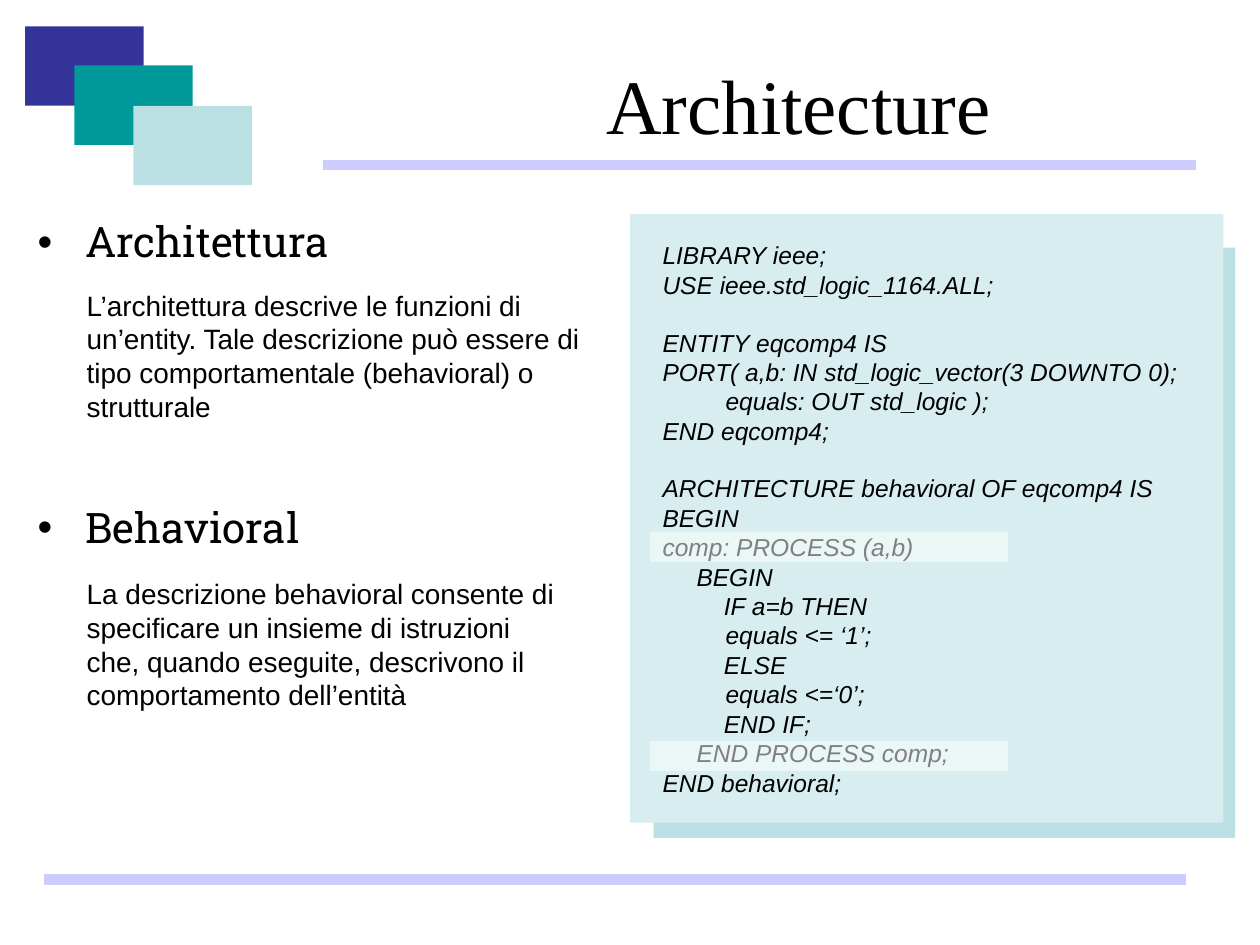
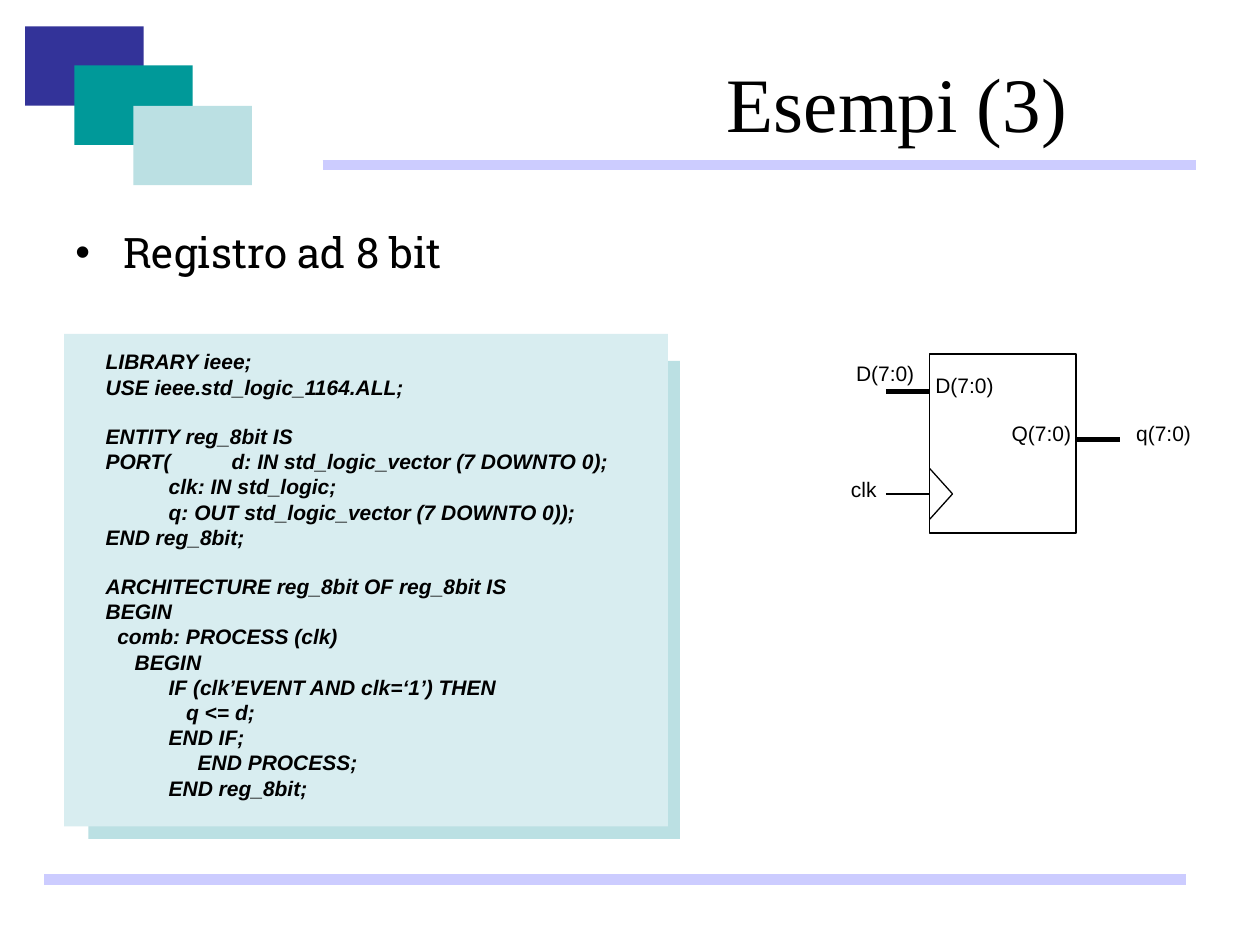
from dataclasses import dataclass

from lxml.etree import SubElement
from pptx import Presentation
from pptx.dml.color import RGBColor
from pptx.enum.shapes import MSO_CONNECTOR, MSO_SHAPE
from pptx.enum.text import MSO_ANCHOR, PP_ALIGN
from pptx.oxml.ns import qn
from pptx.util import Inches, Pt

# Grid that every position is given in
COLS, ROWS = 100, 75


@dataclass(frozen=True)
class Theme:
    ink: str = "000000"
    white: str = "FFFFFF"
    navy: str = "333399"
    teal: str = "009999"
    aqua: str = "BBE0E3"
    pale: str = "D8EDF0"
    rule: str = "CCCCFF"
    title_font: str = "Times New Roman"
    head_font: str = "Roboto Slab"
    text_font: str = "Arial"
    title: int = 44
    head: int = 24
    note: int = 16
    code: int = 14
    small: int = 12
    band: int = 6
    wire: float = 0.75
    bus: int = 3


ENTITY_CODE = [
    """LIBRARY ieee;
USE ieee.std_logic_1164.ALL;""",
    """ENTITY eqcomp4 IS
PORT( a,b: IN std_logic_vector(3 DOWNTO 0);
\tequals: OUT std_logic );
END eqcomp4;""",
    """ARCHITECTURE behavioral OF eqcomp4 IS
BEGIN
comp: PROCESS (a,b)
     BEGIN
         IF a=b THEN
\tequals <= ‘1’;
         ELSE
\tequals <=‘0’;
         END IF;
     END PROCESS comp;
END behavioral;""",
]

REGISTER_CODE = [
    """LIBRARY ieee;
USE ieee.std_logic_1164.ALL;""",
    """ENTITY reg_8bit IS
PORT( \td: IN std_logic_vector (7 DOWNTO 0);
\tclk: IN std_logic;
\tq: OUT std_logic_vector (7 DOWNTO 0));
END reg_8bit;""",
    """ARCHITECTURE reg_8bit OF reg_8bit IS
BEGIN
  comb: PROCESS (clk)
     BEGIN
IF (clk’EVENT AND clk=‘1’) THEN
   q <= d;
END IF;
     END PROCESS;
END reg_8bit;""",
]


def write(p, text, *, size, font, color, bold=False, italic=False,
          align=PP_ALIGN.LEFT, before=0, spacing=None):
    """Fill a paragraph with one formatted run."""
    p.alignment = align
    if before:
        p.space_before = Pt(before)
    if spacing:
        p.line_spacing = spacing
    r = p.add_run()
    r.text = text
    r.font.size, r.font.name = Pt(size), font
    r.font.bold, r.font.italic = bold, italic
    r.font.color.rgb = RGBColor.from_string(color)


class Deck:
    def __init__(self, theme):
        self.t = theme
        self.prs = Presentation()
        self.prs.slide_width, self.prs.slide_height = Inches(10), Inches(7.5)
        self.s = None

    def x(self, cols):
        return round(self.prs.slide_width * cols / COLS)

    def y(self, rows):
        return round(self.prs.slide_height * rows / ROWS)

    def place(self, col, row, w, h):
        return self.x(col), self.y(row), self.x(w), self.y(h)

    # Basic elements
    def rect(self, area, fill=None, line=None, alpha=None):
        sp = self.s.shapes.add_shape(MSO_SHAPE.RECTANGLE, *self.place(*area))
        sp.shadow.inherit = False
        if fill:
            sp.fill.solid()
            sp.fill.fore_color.rgb = RGBColor.from_string(fill)
            if alpha is not None:
                clr = sp.fill._xPr.find(qn("a:solidFill"))[0]
                SubElement(clr, qn("a:alpha"), val=str(alpha * 1000))
        else:
            sp.fill.background()
        if line:
            sp.line.color.rgb = RGBColor.from_string(line)
            sp.line.width = Pt(self.t.wire)
        else:
            sp.line.fill.background()

    def line(self, x1, y1, x2, y2, color, width):
        cx = self.s.shapes.add_connector(
            MSO_CONNECTOR.STRAIGHT, self.x(x1), self.y(y1), self.x(x2), self.y(y2))
        cx.line.color.rgb = RGBColor.from_string(color)
        cx.line.width = Pt(width)
        SubElement(cx._element.spPr, qn("a:effectLst"))

    def frame(self, area, anchor=MSO_ANCHOR.TOP):
        tf = self.s.shapes.add_textbox(*self.place(*area)).text_frame
        tf.word_wrap = True
        tf.vertical_anchor = anchor
        return tf

    def text(self, area, text, size, font=None, anchor=MSO_ANCHOR.TOP, **fmt):
        write(self.frame(area, anchor).paragraphs[0], text, size=size,
              font=font or self.t.text_font, color=self.t.ink, **fmt)

    # Composed elements
    def slide(self, title, title_area):
        t = self.t
        self.s = self.prs.slides.add_slide(self.prs.slide_layouts[6])
        for col, row, fill in ((2, 2.1, t.navy), (5.9, 5.2, t.teal), (10.6, 8.4, t.aqua)):
            self.rect((col, row, 9.4, 6.3), fill)
        self.line(25.6, 13.1, 94.9, 13.1, t.rule, t.band)
        self.line(3.5, 69.8, 94.1, 69.8, t.rule, t.band)
        self.text(title_area, title, t.title, t.title_font,
                  MSO_ANCHOR.MIDDLE, align=PP_ALIGN.CENTER)

    def bullets(self, area, items, gap=0, spacing=None):
        tf = self.frame(area)
        for i, item in enumerate(items):
            p = tf.add_paragraph() if i else tf.paragraphs[0]
            pPr = p._p.get_or_add_pPr()
            pPr.set("marL", str(Inches(0.38)))
            pPr.set("indent", str(-Inches(0.38)))
            clr = SubElement(pPr, qn("a:buClr"))
            SubElement(clr, qn("a:srgbClr"), val=self.t.ink)
            SubElement(pPr, qn("a:buFont"), typeface=self.t.text_font)
            SubElement(pPr, qn("a:buChar"), char="•")
            write(p, item, size=self.t.head, font=self.t.head_font,
                  color=self.t.ink, before=gap if i else 0, spacing=spacing)

    def panel(self, col, row, w, h):
        """Pale card over a darker one, shifted down and right."""
        self.rect((col + 0.04 * w, row + 0.055 * h, 0.98 * w, 0.97 * h), self.t.aqua)
        self.rect((col, row, w, h), self.t.pale)

    def code(self, area, blocks, size, bold=False, indent_last=0):
        """Blocks of code lines, one line height apart."""
        lines = [(text, i > 0 and j == 0)
                 for i, block in enumerate(blocks)
                 for j, text in enumerate(block.split("\n"))]
        tf = self.frame(area)
        for n, (text, opens_block) in enumerate(lines):
            p = tf.add_paragraph() if n else tf.paragraphs[0]
            if n >= len(lines) - indent_last:
                p._p.get_or_add_pPr().set("marL", str(Inches(0.5)))
            write(p, text, size=size, font=self.t.text_font, color=self.t.ink,
                  bold=bold, italic=True, before=1.15 * size if opens_block else 0)


def architecture_slide(d):
    t = d.t
    d.slide("Architecture", (31.9, 2.8, 63, 10.9))
    d.bullets((2, 17.1, 46, 49.5), ["Architettura", "Behavioral"], gap=137, spacing=0.9)
    d.text((5.9, 22.4, 41.7, 11.7),
           "L’architettura descrive le funzioni di un’entity. Tale descrizione può "
           "essere di tipo comportamentale (behavioral) o strutturale", t.note)
    d.text((5.9, 45.3, 40, 11.7),
           "La descrizione behavioral consente di specificare un insieme di istruzioni "
           "che, quando eseguite, descrivono il comportamento dell’entità", t.note)
    # Code with the process lines veiled
    d.panel(50, 17, 47.1, 48.3)
    d.code((51.6, 18.6, 44.9, 45.4), ENTITY_CODE, t.code)
    for row in (42.2, 58.8):
        d.rect((51.6, row, 28.4, 2.4), t.white, alpha=50)


def register_slide(d):
    t = d.t
    d.slide("Esempi (3)", (47.6, 3.8, 47.2, 8.5))
    d.bullets((5, 17.5, 90, 49.5), ["Registro ad 8 bit"])
    d.panel(5.1, 26.5, 47.9, 39.1)
    d.code((7.4, 27.2, 44.8, 37), REGISTER_CODE, t.small, bold=True, indent_last=5)
    # Register symbol
    left, right, clk_row = 73.8, 85.4, 39.2
    d.rect((left, 28.1, right - left, 14.2), line=t.ink)
    for text, col, row, w in (("D(7:0)", 72.3, 29.1, 8.5), ("Q(7:0)", 79.1, 32.9, 7.1),
                              ("D(7:0)", 66.8, 28.1, 6.9), ("q(7:0)", 88.6, 32.9, 7.5),
                              ("clk", 65, 37.3, 7.1)):
        d.text((col, row, w, 3), text, t.small, align=PP_ALIGN.CENTER)
    # Clock notch, then wires
    for dy in (2, -2):
        d.line(left, clk_row + dy, left + 1.8, clk_row, t.ink, t.wire)
    for col, row, width in ((left - 3.5, clk_row, t.wire), (left - 3.5, 31.1, t.bus),
                            (right, 34.9, t.bus)):
        d.line(col, row, col + 3.5, row, t.ink, width)


def main():
    d = Deck(Theme())
    architecture_slide(d)
    register_slide(d)
    d.prs.save("out.pptx")


if __name__ == "__main__":
    main()
